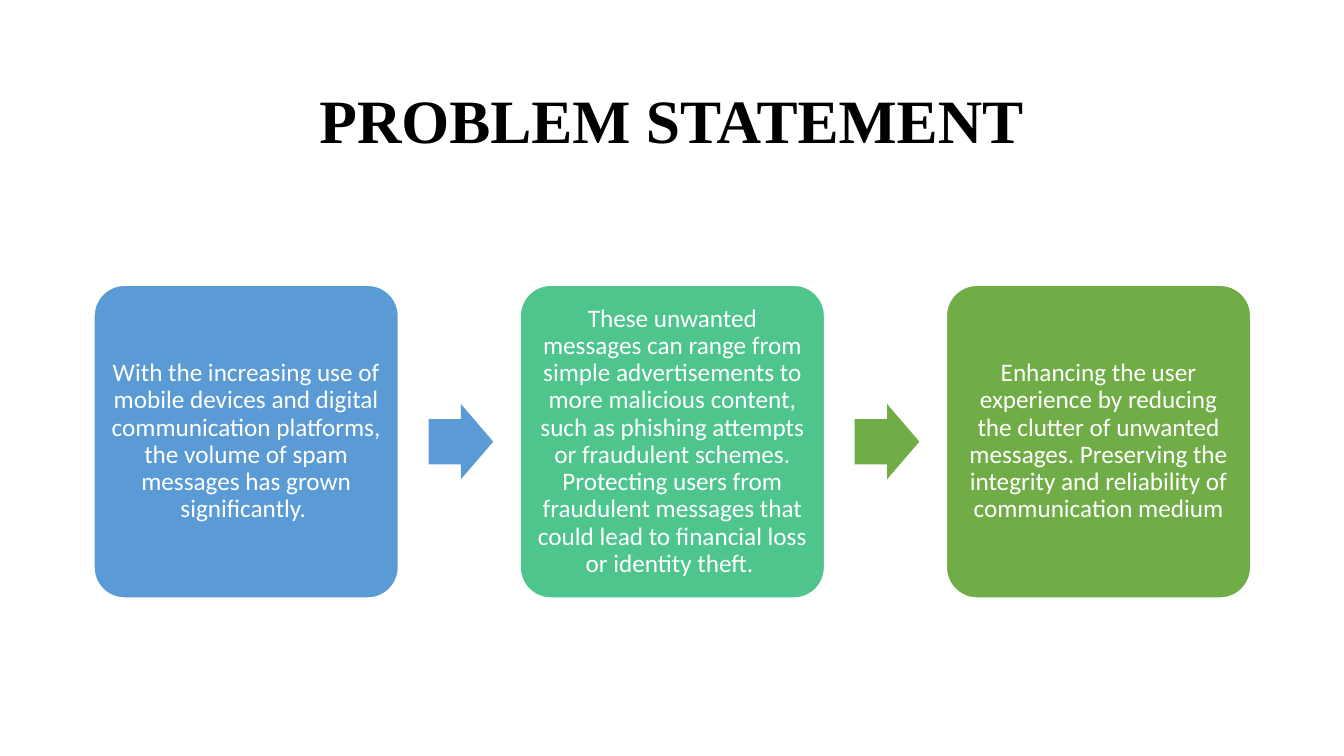
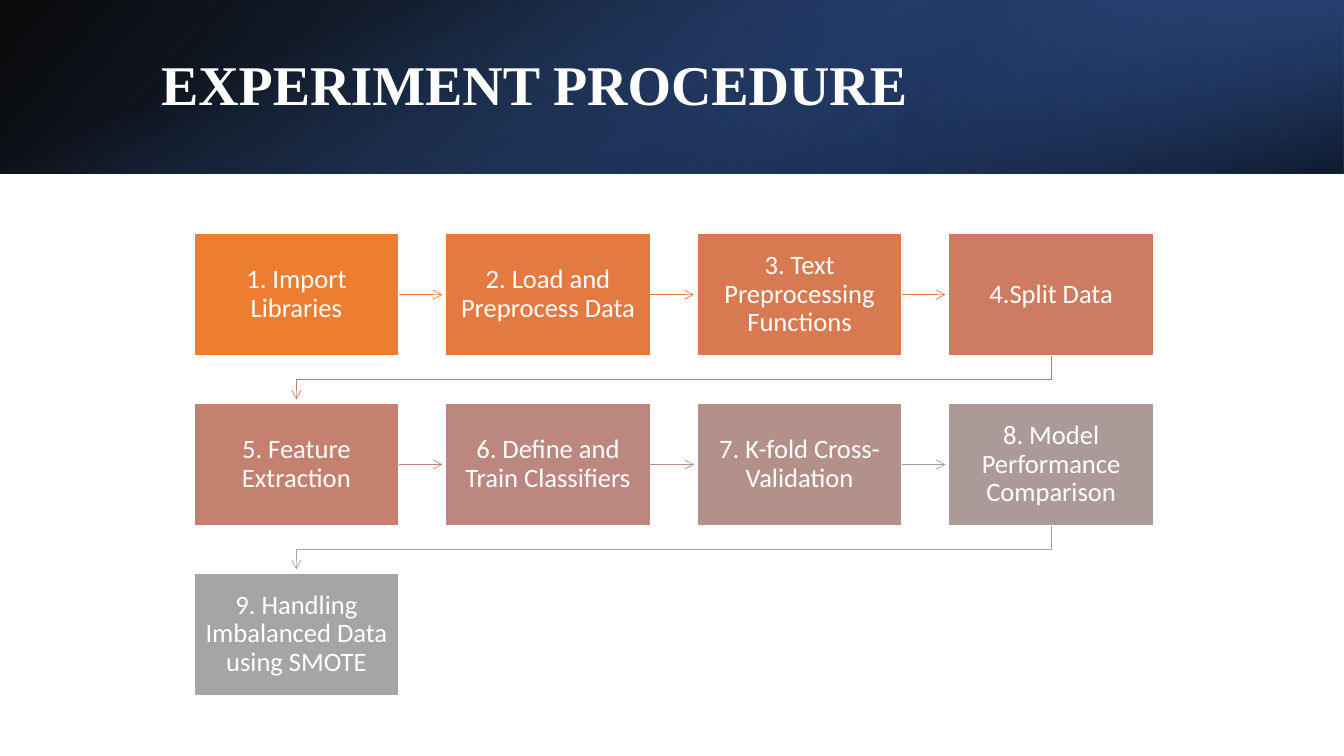
from lxml import etree
from pptx import Presentation, util as u
from pptx.dml.color import RGBColor
from pptx.enum import shapes, text
from pptx.oxml.ns import qn

COLOURS = {
    "white": "FFFFFF", "black": "000000", "blue": "5B9BD5", "teal": "4DC58D",
    "green": "70AD47", "deep": "2F5597", "navy": "203864", "azure": "4472C4",
}
RGB = {name: RGBColor.from_string(value) for name, value in COLOURS.items()}
TITLE_FONT = {"name": "Times New Roman", "bold": True}
BODY_FONT = {"name": "Calibri", "bold": False}
MARGINS = ("margin_left", "margin_top", "margin_right", "margin_bottom")
SHAPE = shapes.MSO_SHAPE
CENTRE, LEFT = text.PP_ALIGN.CENTER, text.PP_ALIGN.LEFT


def write(shape, words, font, size, colour, align=CENTRE, inset=None):
    frame = shape.text_frame
    frame.word_wrap = True
    frame.vertical_anchor = text.MSO_ANCHOR.MIDDLE
    if inset is not None:
        for margin in MARGINS:
            setattr(frame, margin, u.Cm(inset))
    paragraph = frame.paragraphs[0]
    paragraph.alignment = align
    paragraph.line_spacing = 0.9
    run = paragraph.add_run()
    run.text = words
    for key, value in {**font, "size": u.Pt(size)}.items():
        setattr(run.font, key, value)
    run.font.color.rgb = RGB[colour]


def add_block(slide, kind, box, fill=None, outlined=False):
    shape = slide.shapes.add_shape(kind, *(u.Cm(value) for value in box))
    shape.shadow.inherit = False
    if fill:
        shape.fill.solid()
        shape.fill.fore_color.rgb = RGBColor.from_string(fill)
    if outlined:
        shape.line.color.rgb = RGB["white"]
        shape.line.width = u.Pt(1)
    else:
        shape.line.fill.background()
    return shape


presentation = Presentation()
presentation.slide_width, presentation.slide_height = u.Cm(33.87), u.Cm(19.05)
blank = presentation.slide_layouts[6]
problem_slide, procedure_slide = (presentation.slides.add_slide(blank) for _ in range(2))

# Header band: stacked gradients of (position, colour, opacity)
BAND = [
    ((0, 0, 33.87, 4.37), 0, True, 140, [(0, "black", 96), (100, "deep", 100)]),
    ((22.58, 0, 11.29, 4.37), 180, True, 320, [(19, "navy", 68), (100, "azure", 79)]),
    ((14.75, -14.75, 4.37, 33.87), 90, False, 340, [(23, "azure", 0), (99, "black", 74)]),
]
for box, rotation, flipped, angle, stops in BAND:
    layer = add_block(procedure_slide, SHAPE.RECTANGLE, box)
    layer.rotation = rotation
    if flipped:
        layer._element.spPr.find(qn("a:xfrm")).set("flipH", "1")
    layer.fill.gradient()
    layer.fill.gradient_angle = 360 - angle
    for stop, (position, colour, _) in zip(layer.fill.gradient_stops, stops):
        stop.position = position / 100
        stop.color.rgb = RGB[colour]
    gradient = layer._element.spPr.find(qn("a:gradFill"))
    for element, (_, _, opacity) in zip(gradient.iter(qn("a:srgbClr")), stops):
        etree.SubElement(element, qn("a:alpha")).set("val", str(opacity * 1000))

# Titles
TITLES = [
    (problem_slide, "PROBLEM STATEMENT", (2.33, 1.55, 29.21, 3.15), 44, "black", CENTRE),
    (procedure_slide, "EXPERIMENT PROCEDURE", (3.81, 0.97, 27.89, 2.44), 40, "white", LEFT),
]
for slide, words, box, size, colour, align in TITLES:
    title = slide.shapes.add_textbox(*(u.Cm(value) for value in box))
    write(title, words, TITLE_FONT, size, colour, align)

# Problem statement: three cards with block arrows between them
CARDS = [
    ("blue", "With the increasing use of mobile devices and digital communication "
             "platforms, the volume of spam messages has grown significantly. "),
    ("teal", "These unwanted messages can range from simple advertisements to more "
             "malicious content, such as phishing attempts or fraudulent schemes. "
             "Protecting users from fraudulent messages that could lead to financial "
             "loss or identity theft. "),
    ("green", "Enhancing the user experience by reducing the clutter of unwanted "
              "messages. Preserving the integrity and reliability of communication medium"),
]
ARROW_COLOURS = ["blue", "green"]
CARD_LEFT, CARD_TOP, CARD_PITCH, CARD_WIDTH, CARD_HEIGHT = 2.37, 7.19, 10.74, 7.67, 7.88
for index, (colour, words) in enumerate(CARDS):
    left = CARD_LEFT + index * CARD_PITCH
    card = add_block(problem_slide, SHAPE.ROUNDED_RECTANGLE,
                     (left, CARD_TOP, CARD_WIDTH, CARD_HEIGHT), COLOURS[colour], True)
    card.adjustments[0] = 0.1
    write(card, words, BODY_FONT, 18, "white", inset=0.18)
    if index < len(ARROW_COLOURS):
        arrow = add_block(problem_slide, SHAPE.RIGHT_ARROW,
                          (left + 8.43, CARD_TOP + CARD_HEIGHT / 2 - 0.95, 1.63, 1.9),
                          COLOURS[ARROW_COLOURS[index]])
        arrow.adjustments[0] = 0.6

# Experiment procedure: step, box colour, colour of the arrow that leaves it
STEPS = [
    ("1. Import Libraries", "ED7D31", "ED7D31"),
    ("2. Load and Preprocess Data", "E27A42", "E07A44"),
    ("3. Text Preprocessing Functions", "D87A51", "D57B56"),
    ("4.Split Data", "CE7C61", "CA7E67"),
    ("5. Feature Extraction", "C48170", "BF8478"),
    ("6. Define and Train Classifiers", "BC877E", "B68D88"),
    ("7. K-fold Cross-Validation", "B4908B", "AD9897"),
    ("8. Model Performance Comparison", "AC9A99", "A5A5A5"),
    ("9. Handling Imbalanced Data using SMOTE", "A5A5A5", None),
]
COLUMNS = 4
STEP_LEFT, STEP_TOP, STEP_WIDTH, STEP_HEIGHT = 4.89, 5.88, 5.16, 3.09
PITCH_X, PITCH_Y, ARROW_LENGTH = 6.34, 4.28, 1.1
for index, (words, fill, arrow_colour) in enumerate(STEPS):
    row, column = divmod(index, COLUMNS)
    left, top = STEP_LEFT + column * PITCH_X, STEP_TOP + row * PITCH_Y
    step = add_block(procedure_slide, SHAPE.RECTANGLE,
                     (left, top, STEP_WIDTH, STEP_HEIGHT), fill, True)
    write(step, words, BODY_FONT, 19, "white", inset=0.25)
    if arrow_colour is None:
        continue
    if column < COLUMNS - 1:
        right, middle = left + STEP_WIDTH, top + STEP_HEIGHT / 2
        link = procedure_slide.shapes.add_connector(
            shapes.MSO_CONNECTOR.STRAIGHT, u.Cm(right), u.Cm(middle),
            u.Cm(right + ARROW_LENGTH), u.Cm(middle))
        link.begin_connect(step, 3)
        etree.SubElement(link._element.spPr, qn("a:effectLst"))
    else:
        # Return path to the first box of the next row
        start, end = left + STEP_WIDTH / 2, STEP_LEFT + STEP_WIDTH / 2
        bottom = top + STEP_HEIGHT
        builder = procedure_slide.shapes.build_freeform(u.Cm(start), u.Cm(bottom))
        corners = [(start, bottom + 0.6), (end, bottom + 0.6), (end, bottom + ARROW_LENGTH)]
        builder.add_line_segments([(u.Cm(x), u.Cm(y)) for x, y in corners], close=False)
        link = builder.convert_to_shape()
        link.fill.background()
        link.shadow.inherit = False
    link.line.color.rgb = RGBColor.from_string(arrow_colour)
    link.line.width = u.Pt(0.5)
    line = link._element.spPr.find(qn("a:ln"))
    etree.SubElement(line, qn("a:tailEnd")).set("type", "arrow")

presentation.save("out.pptx")
